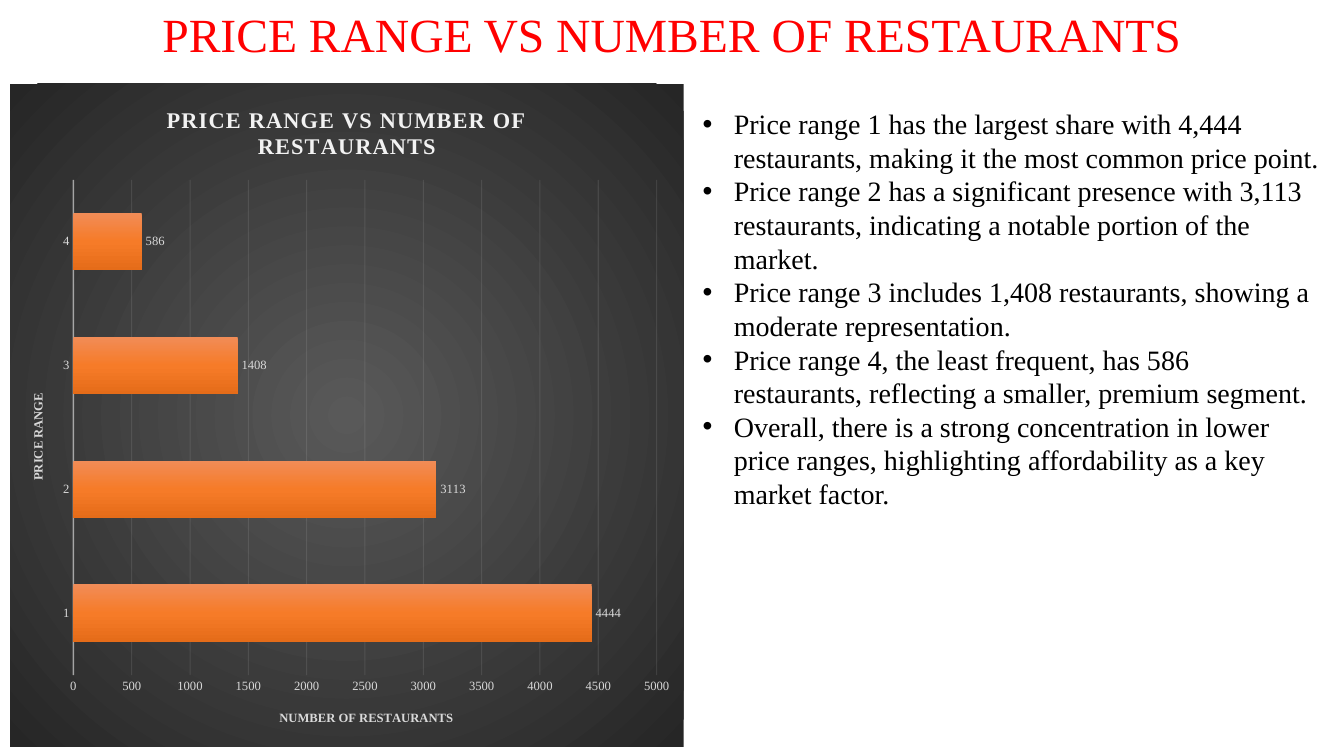
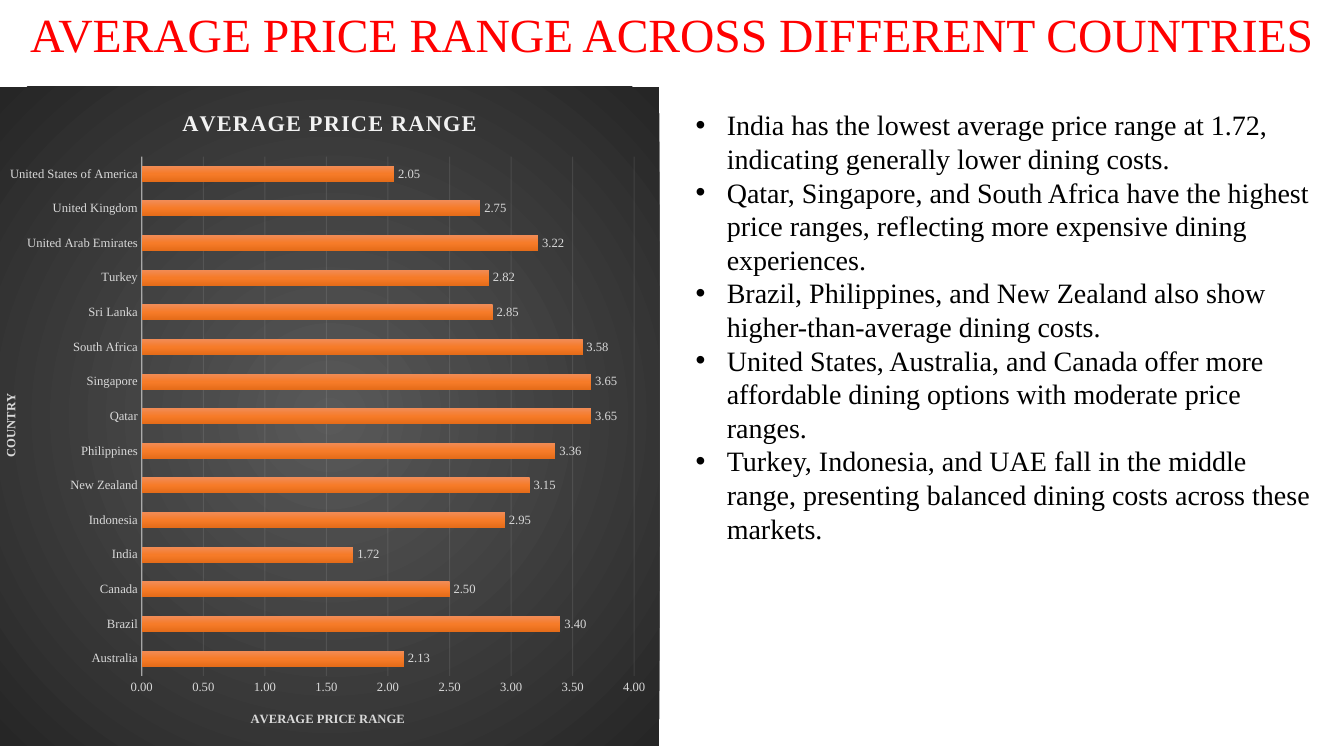
from lxml import etree
from pptx import Presentation
from pptx.chart.data import CategoryChartData as Data
from pptx.dml.color import RGBColor as Rgb
from pptx.enum.chart import XL_CHART_TYPE as Kind, XL_LABEL_POSITION as Spot, XL_TICK_MARK as Tick
from pptx.enum.text import MSO_ANCHOR as Anchor, MSO_AUTO_SIZE as Auto, PP_ALIGN as Align
from pptx.oxml import parse_xml
from pptx.oxml.ns import nsdecls, qn
from pptx.util import Inches, Pt

WIDE, HIGH = 13.33, 7.5
FACE = "Times New Roman"
RED, BLACK, PALE, SOFT = "FF0000", "000000", "D9D9D9", "F2F2F2"
BACK = [(0, "595959"), (100, "262626")]
BARS = [(0, "F18C57"), (50, "F67B28"), (100, "E56C19")]
ROUND = '<a:path path="circle"><a:fillToRect l="50000" t="50000" r="50000" b="50000"/></a:path>'
DOWN = '<a:lin ang="5400000" scaled="0"/>'

SLIDES = [
    {
        "title": "PRICE RANGE VS NUMBER OF RESTAURANTS",
        "chart": {
            "at": (0.1, 0.83, 6.68, 6.58),
            "plot": (0.094, 0.145, 0.866, 0.747),
            "title": "PRICE RANGE VS NUMBER OF RESTAURANTS",
            "axes": ("PRICE RANGE", "NUMBER OF RESTAURANTS"),
            "series": "Series 1",
            "top": 5000, "step": 500, "form": "General",
            "rows": [("1", 4444), ("2", 3113), ("3", 1408), ("4", 586)],
        },
        "box": (6.87, 1.01, 6.37, 4.14),
        "points": [
            "Price range 1 has the largest share with 4,444 restaurants, making it the most common price point.",
            "Price range 2 has a significant presence with 3,113 restaurants, indicating a notable portion of the market.",
            "Price range 3 includes 1,408 restaurants, showing a moderate representation.",
            "Price range 4, the least frequent, has 586 restaurants, reflecting a smaller, premium segment.",
            "Overall, there is a strong concentration in lower price ranges, highlighting affordability as a key market factor.",
        ],
    },
    {
        "title": "AVERAGE PRICE RANGE ACROSS DIFFERENT COUNTRIES",
        "chart": {
            "at": (0, 0.86, 6.54, 6.54),
            "plot": (0.215, 0.106, 0.747, 0.788),
            "title": "AVERAGE PRICE RANGE",
            "axes": ("COUNTRY", "AVERAGE PRICE RANGE"),
            "series": "AVERAGE PRICE RANGE",
            "top": 4, "step": 0.5, "form": "0.00",
            "rows": [
                ("Australia", 2.13), ("Brazil", 3.4), ("Canada", 2.5), ("India", 1.72),
                ("Indonesia", 2.95), ("New Zealand", 3.15), ("Philippines", 3.36),
                ("Qatar", 3.65), ("Singapore", 3.65), ("South Africa", 3.58),
                ("Sri Lanka", 2.85), ("Turkey", 2.82), ("United Arab Emirates", 3.22),
                ("United Kingdom", 2.75), ("United States of America", 2.05),
            ],
        },
        "box": (6.8, 1.02, 6.35, 4.48),
        "points": [
            "India has the lowest average price range at 1.72, indicating generally lower dining costs.",
            "Qatar, Singapore, and South Africa have the highest price ranges, reflecting more expensive dining experiences.",
            "Brazil, Philippines, and New Zealand also show higher-than-average dining costs.",
            "United States, Australia, and Canada offer more affordable dining options with moderate price ranges.",
            "Turkey, Indonesia, and UAE fall in the middle range, presenting balanced dining costs across these markets.",
        ],
    },
]


def tint(code):
    return Rgb.from_string(code)


def style(font, size, color, bold=False):
    font.name, font.size, font.bold = FACE, Pt(size), bold
    font.color.rgb = tint(color)


def write(para, text, size, color, bold=False, align=None, bullet=False, gap=0):
    run = para.add_run()
    run.text = text
    style(run.font, size, color, bold)
    if gap:
        run._r.get_or_add_rPr().set("spc", str(gap))
    if align is not None:
        para.alignment = align
    if bullet:
        props = para._p.get_or_add_pPr()
        props.set("marL", str(Inches(0.31)))
        props.set("indent", str(-Inches(0.31)))
        etree.SubElement(props, qn("a:buFont")).set("typeface", "Arial")
        etree.SubElement(props, qn("a:buChar")).set("char", "•")


def blend(stops, way):
    marks = "".join(
        f'<a:gs pos="{pos * 1000}"><a:srgbClr val="{code}"/></a:gs>' for pos, code in stops)
    return f'<a:gradFill {nsdecls("a")} rotWithShape="1"><a:gsLst>{marks}</a:gsLst>{way}</a:gradFill>'


def fade(line, node, query, width, share):
    line.color.rgb = tint(SOFT)
    line.width = Pt(width)
    for color in node.xpath(query):
        etree.SubElement(color, qn("a:alpha")).set("val", str(share * 1000))


def frame(chart, plot):
    area = chart._chartSpace.chart.plotArea
    for old in area.findall(qn("c:layout")):
        area.remove(old)
    parts = '<c:layoutTarget val="inner"/><c:xMode val="edge"/><c:yMode val="edge"/>'
    parts += "".join(f'<c:{key} val="{val}"/>' for key, val in zip("xywh", plot))
    area.insert(0, parse_xml(
        f'<c:layout {nsdecls("c")}><c:manualLayout>{parts}</c:manualLayout></c:layout>'))


def draw(slide, info):
    data = Data(number_format=info["form"])
    data.categories = [name for name, _ in info["rows"]]
    data.add_series(info["series"], [val for _, val in info["rows"]])
    chart = slide.shapes.add_chart(Kind.BAR_CLUSTERED, *map(Inches, info["at"]), data).chart
    style(chart.font, 10, BLACK)
    chart.has_legend = False
    chart.has_title = True
    write(chart.chart_title.text_frame.paragraphs[0], info["title"], 16, SOFT, bold=True, gap=100)
    chart._chartSpace.chart.addnext(parse_xml(
        f'<c:spPr {nsdecls("c", "a")}>{blend(BACK, ROUND)}<a:ln><a:noFill/></a:ln></c:spPr>'))
    frame(chart, info["plot"])

    plot = chart.plots[0]
    plot.gap_width, plot.overlap, plot.vary_by_categories = 115, -20, False
    plot.series[0]._element.get_or_add_spPr().insert(0, parse_xml(blend(BARS, DOWN)))
    plot.has_data_labels = True
    labels = plot.data_labels
    style(labels.font, 9, PALE)
    labels.show_value, labels.position = True, Spot.OUTSIDE_END
    labels.number_format, labels.number_format_is_linked = info["form"], False

    cat, val = chart.category_axis, chart.value_axis
    for axis, name in zip((cat, val), info["axes"]):
        axis.major_tick_mark = axis.minor_tick_mark = Tick.NONE
        style(axis.tick_labels.font, 9, PALE)
        write(axis.axis_title.text_frame.paragraphs[0], name, 9, PALE, bold=True)
    cat.has_major_gridlines = False
    fade(cat.format.line, cat._element, "c:spPr//a:srgbClr", 1, 54)
    val.format.line.fill.background()
    val.has_major_gridlines = True
    fade(val.major_gridlines.format.line, val._element, "c:majorGridlines//a:srgbClr", 0.75, 10)
    val.minimum_scale, val.maximum_scale, val.major_unit = 0, info["top"], info["step"]
    val.tick_labels.number_format = info["form"]
    val.tick_labels.number_format_is_linked = False


def build(deck, page):
    slide = deck.slides.add_slide(deck.slide_layouts[5])
    title = slide.shapes.title
    title.left, title.top, title.width, title.height = map(Inches, (0, 0, WIDE, 0.67))
    head = title.text_frame
    head.auto_size, head.vertical_anchor = Auto.NONE, Anchor.MIDDLE
    write(head.paragraphs[0], page["title"], 34, RED, align=Align.CENTER)
    draw(slide, page["chart"])
    body = slide.shapes.add_textbox(*map(Inches, page["box"])).text_frame
    body.word_wrap = True
    for num, point in enumerate(page["points"]):
        para = body.add_paragraph() if num else body.paragraphs[0]
        write(para, point, 20, BLACK, bullet=True)


def main():
    deck = Presentation()
    deck.slide_width, deck.slide_height = Inches(WIDE), Inches(HIGH)
    for page in SLIDES:
        build(deck, page)
    deck.save("out.pptx")


if __name__ == "__main__":
    main()
